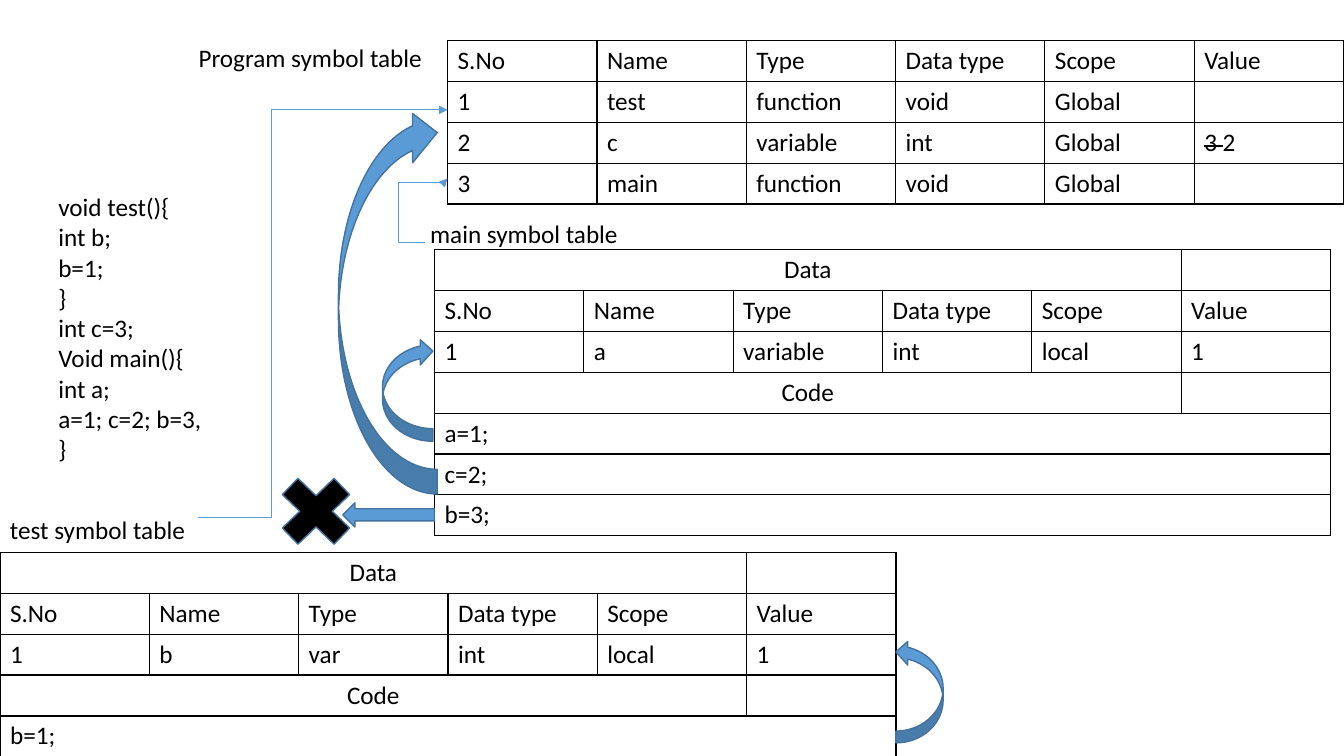
from dataclasses import dataclass

from lxml import etree
from pptx import Presentation
from pptx import util as u
from pptx.dml.color import RGBColor
from pptx.enum import shapes, text
from pptx.oxml import ns

COLORS = {"ink": "000000", "arrow": "5B9BD5", "outline": "43739E"}
FONT, SIZE = "Calibri", u.Pt(18)
COLUMN, ROW = 3.763, 1.03
HEADER = ("S.No", "Name", "Type", "Data type", "Scope", "Value")
CELL_WIDTHS = {1: (6,), 2: (5, 1), 6: (1,) * 6}
KIND = shapes.MSO_SHAPE


@dataclass
class Span:
    text: str
    struck: bool = False


@dataclass
class Label:
    text: str
    left: float
    top: float
    width: float


@dataclass
class SymbolTable:
    left: float
    top: float
    rows: list[tuple]


@dataclass
class Marker:
    kind: KIND
    left: float
    top: float
    width: float
    height: float
    flips: tuple[str, ...] = ()
    fill: str = "arrow"


@dataclass
class Link:
    start: tuple[float, float]
    end: tuple[float, float]
    preset: str
    bends: tuple[int, ...]


CODE = ("void test(){", "int b;", "b=1;", "}", "int c=3;", "Void main(){",
        "int a;", "a=1; c=2; b=3,", "}")

TITLE = Label("Program symbol table", 4.75, 0.94, 6.2)
LABELS = [
    Label("test symbol table", 0, 12.83, 4.98),
    Label("main symbol table", 10.59, 5.38, 5.28),
]

TABLES = [
    SymbolTable(11.28, 1.02, [
        HEADER,
        ("1", "test", "function", "void", "Global", ""),
        ("2", "c", "variable", "int", "Global", (Span("3 ", True), Span("2"))),
        ("3", "main", "function", "void", "Global", ""),
    ]),
    SymbolTable(0, 13.92, [
        ("Data", ""), HEADER,
        ("1", "b", "var", "int", "local", "1"),
        ("Code", ""), ("b=1;",),
    ]),
    SymbolTable(10.95, 6.29, [
        ("Data", ""), HEADER,
        ("1", "a", "variable", "int", "local", "1"),
        ("Code", ""), ("a=1;",), ("c=2;",), ("b=3;",),
    ]),
]

LINKS = [
    Link((4.98, 13.05), (11.28, 2.77), "bentConnector3", (29600,)),
    Link((10.7, 6.1), (11.28, 4.5), "bentConnector4", (-112700, 93300)),
]

MARKERS = [
    Marker(KIND.CURVED_RIGHT_ARROW, 22.58, 16.13, 1.19, 2.59, ("flipH", "flipV")),
    Marker(KIND.CURVED_RIGHT_ARROW, 9.64, 8.53, 1.27, 2.59, ("flipV",)),
    Marker(KIND.CURVED_RIGHT_ARROW, 8.53, 2.72, 2.49, 9.73, ("flipV",)),
    Marker(KIND.LEFT_ARROW, 8.64, 12.67, 2.31, 0.61),
    Marker(KIND.MATH_MULTIPLY, 6.71, 11.68, 2.51, 2.41, fill="ink"),
]


def color(name: str) -> RGBColor:
    return RGBColor.from_string(COLORS[name])


def add_span(para, content: Span) -> None:
    span = para.add_run()
    span.text = content.text
    span.font.name, span.font.size = FONT, SIZE
    span.font.color.rgb = color("ink")
    if content.struck:
        span.font._element.set("strike", "sngStrike")


def write_label(box, label: Label) -> None:
    box.left, box.top = u.Cm(label.left), u.Cm(label.top)
    box.width, box.height = u.Cm(label.width), u.Cm(1.03)
    frame = box.text_frame
    frame.word_wrap = False
    frame.auto_size = text.MSO_AUTO_SIZE.NONE
    frame.vertical_anchor = text.MSO_ANCHOR.TOP
    frame.paragraphs[0].alignment = text.PP_ALIGN.LEFT
    add_span(frame.paragraphs[0], Span(label.text))


def add_code(page) -> None:
    box = page.shapes.add_textbox(u.Cm(1.22), u.Cm(4.7), u.Cm(16.93), u.Cm(7.95))
    box.text_frame.word_wrap = True
    for index, line in enumerate(CODE):
        frame = box.text_frame
        para = frame.add_paragraph() if index else frame.paragraphs[0]
        add_span(para, Span(line))


def format_cell(cell) -> None:
    properties = cell._tc.get_or_add_tcPr()
    for side in ("lnL", "lnR", "lnT", "lnB"):
        border = etree.SubElement(properties, ns.qn(f"a:{side}"), w=str(u.Pt(1)))
        fill = etree.SubElement(border, ns.qn("a:solidFill"))
        etree.SubElement(fill, ns.qn("a:srgbClr"), val=COLORS["ink"])
    cell.fill.background()


def add_symbol_table(page, table: SymbolTable) -> None:
    count = len(table.rows)
    grid = page.shapes.add_table(count, 6, u.Cm(table.left), u.Cm(table.top),
                                 u.Cm(6 * COLUMN), u.Cm(count * ROW)).table
    grid.first_row = grid.horz_banding = False
    for column in grid.columns:
        column.width = u.Cm(COLUMN)
    for row in grid.rows:
        row.height = u.Cm(ROW)
    for cell in grid.iter_cells():
        format_cell(cell)
    for r, row in enumerate(table.rows):
        c = 0
        for content, width in zip(row, CELL_WIDTHS[len(row)]):
            cell = grid.cell(r, c)
            if width > 1:
                cell.merge(grid.cell(r, c + width - 1))
            para = cell.text_frame.paragraphs[0]
            if width == 5:
                para.alignment = text.PP_ALIGN.CENTER
            spans = (Span(content),) if isinstance(content, str) else content
            for span in spans:
                if span.text:
                    add_span(para, span)
            c += width


def add_link(page, link: Link) -> None:
    line = page.shapes.add_connector(shapes.MSO_CONNECTOR.ELBOW,
                                     *map(u.Cm, link.start + link.end))
    line.line.color.rgb = color("arrow")
    line.line.width = u.Pt(0.5)
    properties = line._element.spPr
    geometry = properties.find(ns.qn("a:prstGeom"))
    geometry.set("prst", link.preset)
    guides = geometry.find(ns.qn("a:avLst"))
    for number, bend in enumerate(link.bends, 1):
        etree.SubElement(guides, ns.qn("a:gd"), name=f"adj{number}", fmla=f"val {bend}")
    etree.SubElement(line.line._get_or_add_ln(), ns.qn("a:tailEnd"), type="triangle")
    etree.SubElement(properties, ns.qn("a:effectLst"))


def add_marker(page, marker: Marker) -> None:
    shape = page.shapes.add_shape(marker.kind, u.Cm(marker.left), u.Cm(marker.top),
                                  u.Cm(marker.width), u.Cm(marker.height))
    shape.shadow.inherit = False
    shape.fill.solid()
    shape.fill.fore_color.rgb = color(marker.fill)
    shape.line.color.rgb = color("outline")
    shape.line.width = u.Pt(1)
    for flip in marker.flips:
        shape._element.spPr.find(ns.qn("a:xfrm")).set(flip, "1")


def main() -> None:
    deck = Presentation()
    deck.slide_width, deck.slide_height = u.Cm(33.87), u.Cm(19.05)
    page = deck.slides.add_slide(deck.slide_layouts[5])

    # Source code and table names
    write_label(page.shapes.title, TITLE)
    add_code(page)
    for label in LABELS:
        write_label(page.shapes.add_textbox(0, 0, 0, 0), label)

    # Symbol tables
    for table in TABLES:
        add_symbol_table(page, table)

    # Links between tables, then lookup arrows and the failed lookup
    for link in LINKS:
        add_link(page, link)
    for marker in MARKERS:
        add_marker(page, marker)

    deck.save("out.pptx")


if __name__ == "__main__":
    main()
